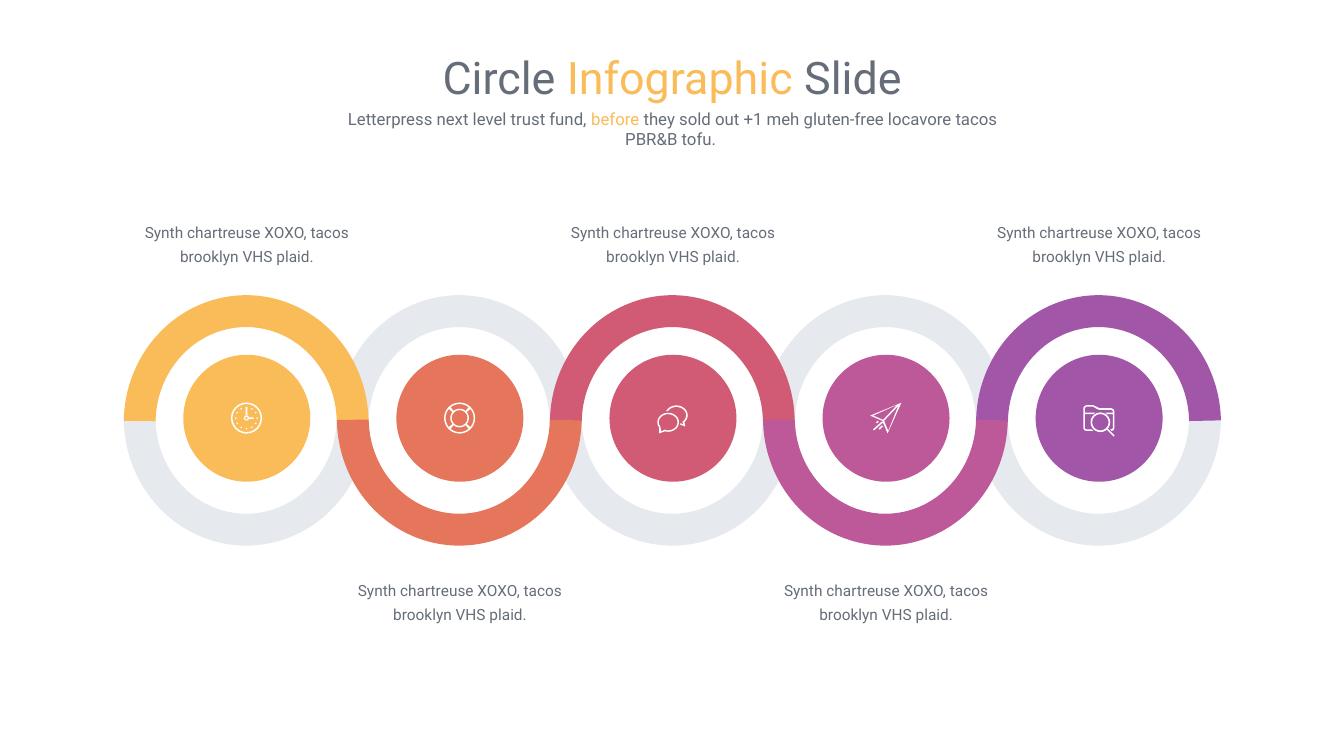
from dataclasses import dataclass
from math import cos, hypot, radians, sin

from pptx import Presentation
from pptx.dml.color import RGBColor
from pptx.enum.shapes import MSO_SHAPE
from pptx.enum.text import PP_ALIGN
from pptx.oxml.ns import qn
from pptx.oxml.xmlchemy import OxmlElement
from pptx.shapes.autoshape import Shape
from pptx.slide import Slide
from pptx.util import Cm, Length, Pt

Point = tuple[float, float]
Contour = list[Point]


@dataclass(frozen=True)
class Theme:
    font: str = "Roboto"
    text: str = "656D78"
    accent: str = "FABC59"
    pale: str = "D6DCE5"
    icon: str = "FFFFFF"
    pale_opacity: int = 60
    title_size: int = 32
    subtitle_size: int = 12
    caption_size: int = 11


@dataclass(frozen=True)
class Step:
    color: str
    icon: list[Contour]
    icon_top: float
    upper: bool


@dataclass(frozen=True)
class Run:
    text: str
    color: str


THEME = Theme()
PITCH = 5.37
ICON_UNIT = Cm(0.81) / 32
CAPTION = "Synth chartreuse XOXO, tacos brooklyn VHS plaid."


def arc(x: float, y: float, rx: float, ry: float, start: float, end: float) -> Contour:
    """Sample an ellipse clockwise, angles in degrees from the right."""
    count = max(6, round(abs(end - start) * min(rx, 12) / 180))
    angles = [radians(start + (end - start) * i / count) for i in range(count + 1)]
    return [(x + rx * cos(a), y + ry * sin(a)) for a in angles]


def circle(x: float, y: float, radius: float) -> Contour:
    return arc(x, y, radius, radius, 0, 360)[:-1]


def stroke(start: Point, end: Point, width: float = 1.5) -> Contour:
    """Outline a straight bar between two points."""
    dx, dy = end[0] - start[0], end[1] - start[1]
    scale = width / 2 / hypot(dx, dy)
    nx, ny = -dy * scale, dx * scale
    return [(start[0] + nx, start[1] + ny), (end[0] + nx, end[1] + ny),
            (end[0] - nx, end[1] - ny), (start[0] - nx, start[1] - ny)]


def clock_icon() -> list[Contour]:
    x, y = 15.5, 15.2
    rings = [circle(x, y, radius) for radius in (15.5, 14, 2.8, 1.4)]
    hands = [stroke((x, 4), (x, 12.4)), stroke((18.3, y), (22.5, y))]
    angles = [radians(30 * hour) for hour in range(1, 12)]
    dots = [circle(x + 10.6 * sin(a), y - 10.6 * cos(a), 0.8) for a in angles]
    return rings + hands + dots


def lifebuoy_icon() -> list[Contour]:
    x, y = 15.5, 15.2
    gaps = [arc(x, y, 14, 14, middle - 40, middle + 40)
            + arc(x, y, 9.3, 9.3, middle + 40, middle - 40)
            for middle in range(0, 360, 90)]
    return [circle(x, y, 15.5), circle(x, y, 7.9), *gaps]


def chat_icon() -> list[Contour]:
    front = arc(11, 17, 10.8, 9.5, 145, 467) + [(8, 26), (2, 28)]
    front_hole = arc(11, 17, 9.4, 8.1, 145, 477) + [(7.5, 24.5), (4, 26)]
    back = arc(19.2, 10, 11.3, 9.8, 205, 405) + [
        (28.2, 21.2), (22.8, 19.3), (23.2, 18), (26, 19), (25.2, 16.5)
    ] + arc(19.2, 10, 9.8, 8.3, 405, 210)
    return [front, front_hole, back]


def plane_icon() -> list[Contour]:
    return [
        [(31, 0), (0, 12.8), (12, 18), (17.3, 30.5)],
        [(18, 28), (13.8, 18), (28, 3)],
        [(3, 12.8), (27, 2), (12.8, 17)],
        stroke((12.2, 23), (9, 26.2)),
        stroke((12, 19.3), (3.3, 27)),
        stroke((8, 18.5), (6.2, 20)),
    ]


def folder_icon() -> list[Contour]:
    folder = [
        (28, 3), (16, 3), (13, 1.5), (10, 0), (3, 0), (1, 1), (0, 3), (0, 23),
        (1, 25), (3, 25.5), (10, 25.5), (8.3, 24), (3, 24), (1.5, 23), (1.5, 9),
        (10, 9), (12, 7.5), (1.5, 7.5), (1.5, 3), (3, 1.5), (10, 1.5), (13, 3.5),
        (16, 4.7), (28, 4.7), (29.5, 6), (29.5, 7.5), (22, 7.5), (24, 9),
        (29.5, 9), (29.5, 23), (28, 24), (26.5, 24), (28, 25.5), (30, 25),
        (31, 23), (31, 6), (30, 4),
    ]
    return [folder, circle(17, 17, 9.8), circle(17, 17, 8.2),
            stroke((23.9, 23.9), (30.7, 30.7))]


STEPS = [
    Step("FABC59", clock_icon(), 10.15, True),
    Step("E5765B", lifebuoy_icon(), 10.15, False),
    Step("D15B75", chat_icon(), 10.21, True),
    Step("BD5999", plane_icon(), 10.15, False),
    Step("A156A8", folder_icon(), 10.21, True),
]


def paint(shape: Shape, color: str) -> None:
    shape.shadow.inherit = False
    shape.fill.solid()
    shape.fill.fore_color.rgb = RGBColor.from_string(color)
    shape.line.fill.background()


def add_half_ring(slide: Slide, left: Length, upper: bool, color: str) -> Shape:
    top = Cm(7.44 if upper else 7.32)
    shape = slide.shapes.add_shape(MSO_SHAPE.BLOCK_ARC, left, top, Cm(6.17), Cm(6.43))
    for index, value in enumerate((108.56, 215.33, 0.13)):
        shape.adjustments[index] = value
    if not upper:
        shape.element.spPr.find(qn("a:xfrm")).set("flipV", "1")
    paint(shape, color)
    return shape


def fade(shape: Shape, percent: int) -> None:
    alpha = OxmlElement("a:alpha")
    alpha.set("val", str(percent * 1000))
    shape.element.spPr.find(qn("a:solidFill"))[0].append(alpha)


def add_icon(slide: Slide, contours: list[Contour], left: Length, top: Length) -> None:
    placed = [[(left + x * ICON_UNIT, top + y * ICON_UNIT) for x, y in contour]
              for contour in contours]
    builder = slide.shapes.build_freeform(*placed[0][0])
    for index, contour in enumerate(placed):
        if index:
            builder.move_to(*contour[0])
        builder.add_line_segments(contour[1:], close=True)
    paint(builder.convert_to_shape(), THEME.icon)


def add_text(slide: Slide, box: tuple[float, float, float, float], size: int,
             runs: list[Run], inset: bool = True, line_spacing: float = 1.0) -> None:
    frame = slide.shapes.add_textbox(*map(Cm, box)).text_frame
    frame.word_wrap = True
    if not inset:
        frame.margin_left = frame.margin_right = Cm(0)
        frame.margin_top = frame.margin_bottom = Cm(0)
    paragraph = frame.paragraphs[0]
    paragraph.alignment = PP_ALIGN.CENTER
    paragraph.line_spacing = line_spacing
    for item in runs:
        run = paragraph.add_run()
        run.text = item.text
        run.font.name = THEME.font
        run.font.size = Pt(size)
        run.font.color.rgb = RGBColor.from_string(item.color)


def main() -> None:
    presentation = Presentation()
    presentation.slide_width, presentation.slide_height = Cm(33.87), Cm(19.05)
    slide = presentation.slides.add_slide(presentation.slide_layouts[6])

    add_text(slide, (6.45, 1.14, 20.98, 1.63), THEME.title_size, [
        Run("Circle ", THEME.text), Run("Infographic ", THEME.accent),
        Run("Slide", THEME.text)])
    add_text(slide, (8.13, 2.62, 17.65, 0.76), THEME.subtitle_size, [
        Run("Letterpress next level trust fund, ", THEME.text),
        Run("before", THEME.accent),
        Run(" they sold out +1 meh gluten-free locavore tacos PBR&B tofu. ", THEME.text)])

    columns = [(index * PITCH, step) for index, step in enumerate(STEPS)]
    for offset, step in columns:
        ring = add_half_ring(slide, Cm(3.12 + offset), not step.upper, THEME.pale)
        fade(ring, THEME.pale_opacity)
    for offset, step in sorted(columns, key=lambda column: not column[1].upper):
        add_half_ring(slide, Cm(3.12 + offset), step.upper, step.color)
    for offset, step in columns:
        disc = slide.shapes.add_shape(
            MSO_SHAPE.OVAL, Cm(4.62 + offset), Cm(8.94), Cm(3.2), Cm(3.2))
        paint(disc, step.color)
        add_icon(slide, step.icon, Cm(5.82 + offset), Cm(step.icon_top))
        caption_top = 5.49 if step.upper else 14.5
        add_text(slide, (3.2 + offset, caption_top, 6.05, 1.19), THEME.caption_size,
                 [Run(CAPTION, THEME.text)], inset=False, line_spacing=1.3)

    presentation.save("out.pptx")


if __name__ == "__main__":
    main()
